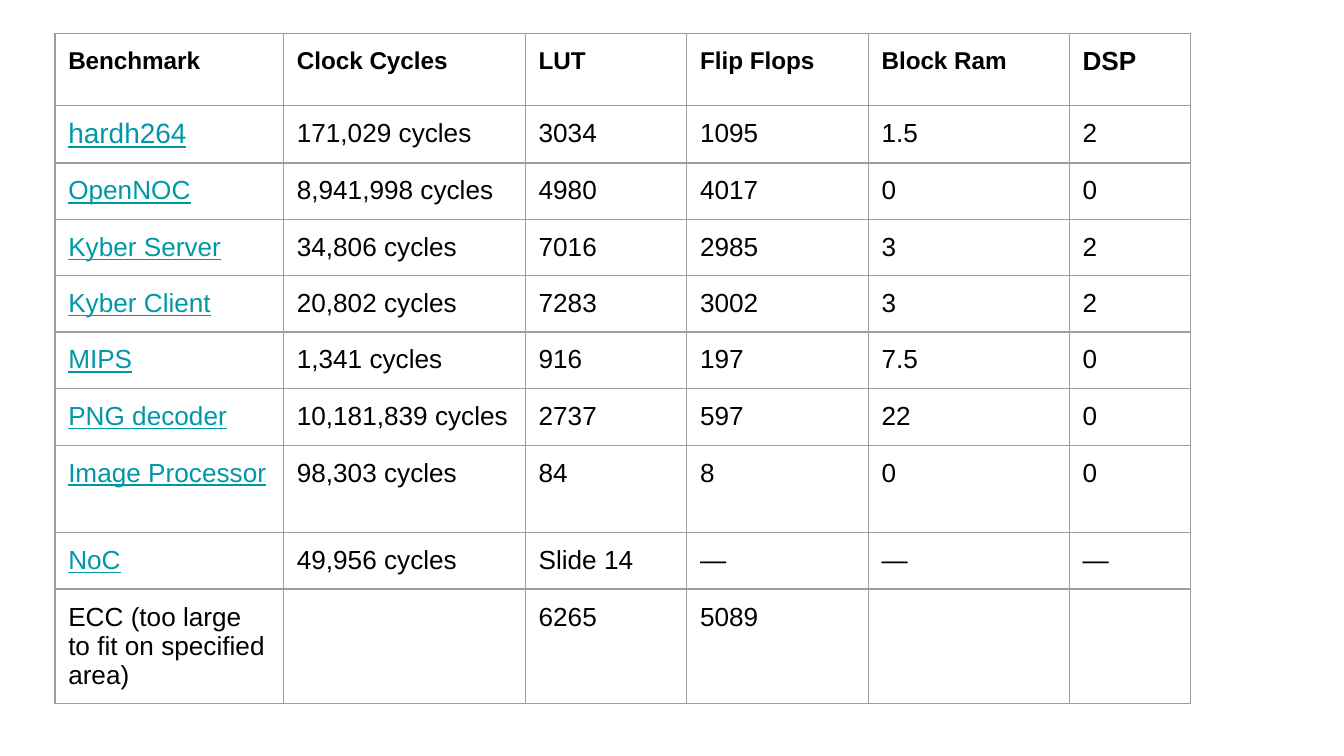
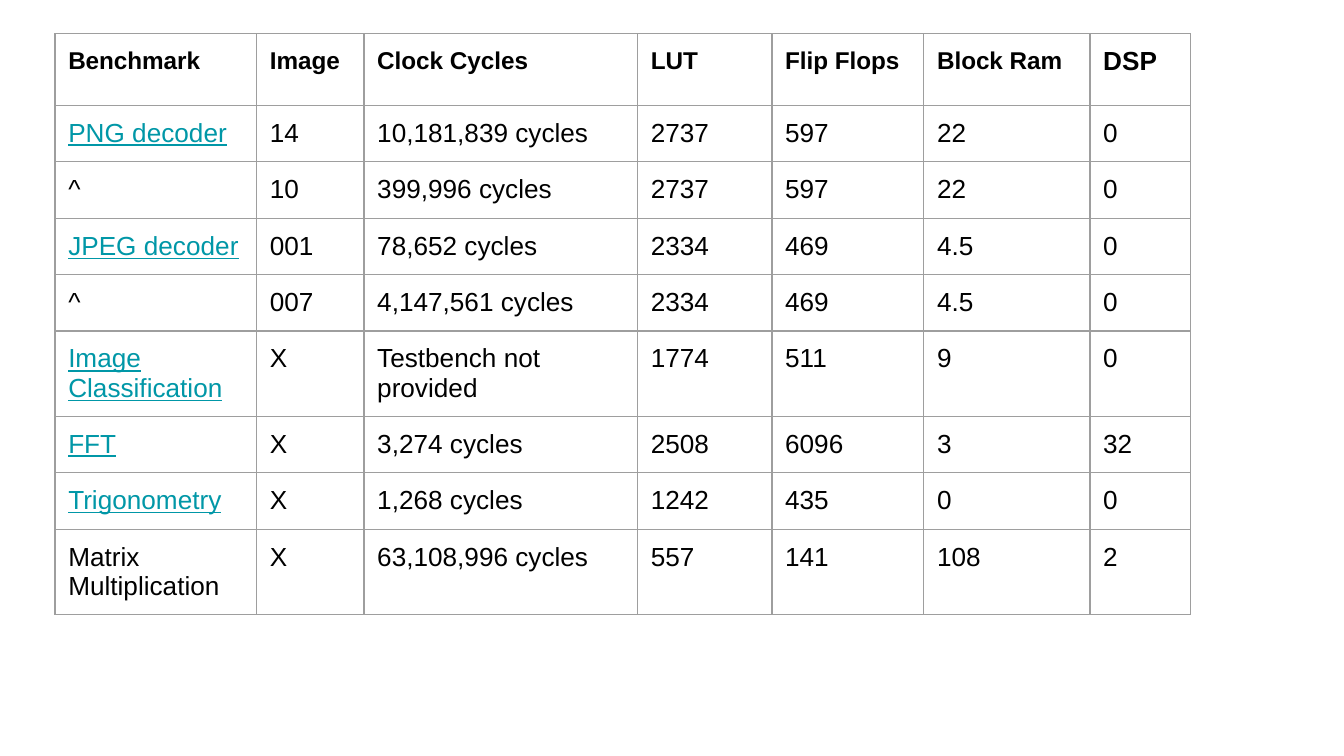
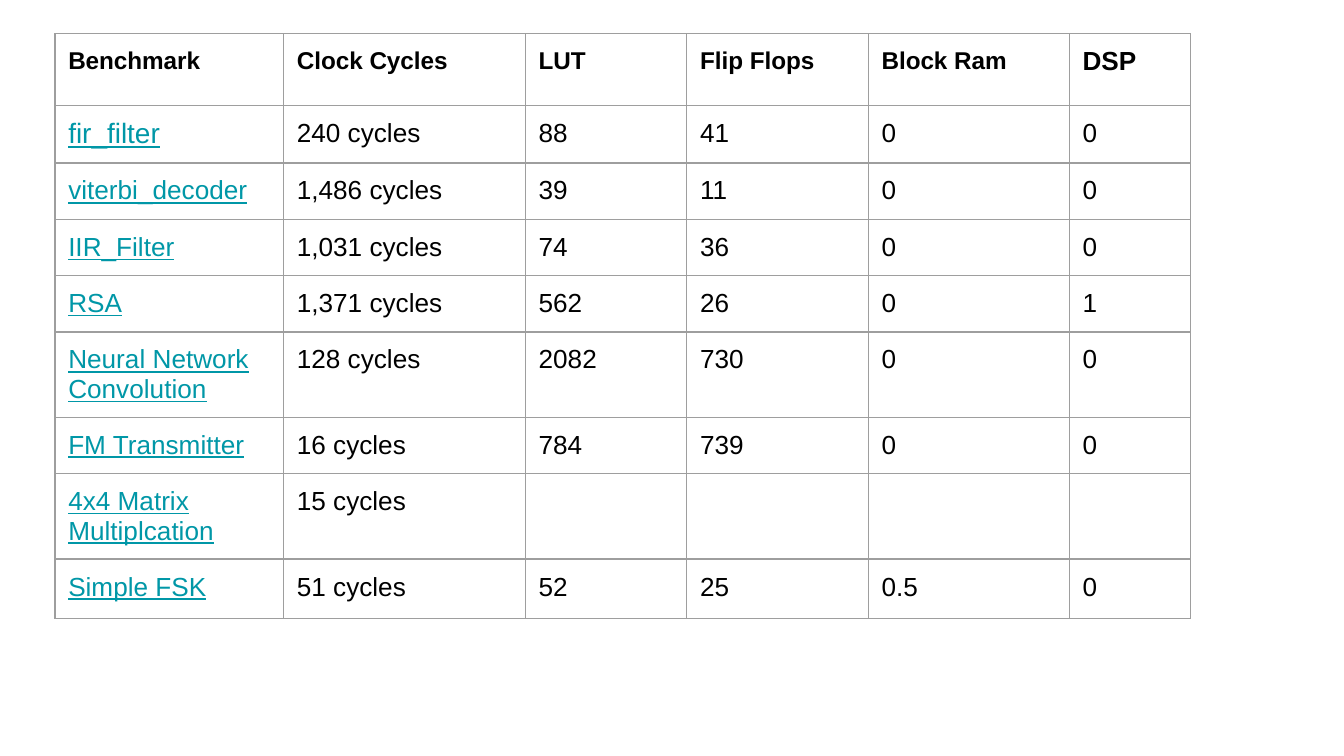
from lxml import etree
from pptx import Presentation
from pptx.dml.color import RGBColor
from pptx.oxml.ns import qn
from pptx.util import Cm, Pt

COLORS = {"text": "000000", "link": "0097A7", "border": "9E9E9E"}
FONT = "Arial"
BLANK_LAYOUT = 6
TABLE_LEFT, TABLE_TOP = 1.04, 0.64
CELL_MARGIN = 0.25
BORDER_WIDTH = Pt(0.75)
ROW_HEIGHT = 1.07
SPECIAL_HEIGHTS = {0: 1.35, 3: 0.94}

# Column headings with their widths in cm
RESOURCE_COLUMNS = {"Benchmark": 4.32, "Clock Cycles": 4.57, "LUT": 3.05,
                    "Flip Flops": 3.43, "Block Ram": 3.8, "DSP": 2.29}
IMAGE_COLUMNS = {"Benchmark": 3.81, "Image": 2.03, "Clock Cycles": 5.17, "LUT": 2.54,
                 "Flip Flops": 2.87, "Block Ram": 3.14, "DSP": 1.9}

# Benchmarks that are not set as links
PLAIN_BENCHMARKS = {"^", "Matrix Multiplication",
                    "ECC (too large to fit on specified area)"}

DESIGN_RESULTS = [
    ("hardh264", "171,029 cycles", "3034", "1095", "1.5", "2"),
    ("OpenNOC", "8,941,998 cycles", "4980", "4017", "0", "0"),
    ("Kyber Server", "34,806 cycles", "7016", "2985", "3", "2"),
    ("Kyber Client", "20,802 cycles", "7283", "3002", "3", "2"),
    ("MIPS", "1,341 cycles", "916", "197", "7.5", "0"),
    ("PNG decoder", "10,181,839 cycles", "2737", "597", "22", "0"),
    ("Image Processor", "98,303 cycles", "84", "8", "0", "0"),
    ("NoC", "49,956 cycles", "Slide 14", "—", "—", "—"),
    ("ECC (too large to fit on specified area)", "", "6265", "5089", "", ""),
]
IMAGE_RESULTS = [
    ("PNG decoder", "14", "10,181,839 cycles", "2737", "597", "22", "0"),
    ("^", "10", "399,996 cycles", "2737", "597", "22", "0"),
    ("JPEG decoder", "001", "78,652 cycles", "2334", "469", "4.5", "0"),
    ("^", "007", "4,147,561 cycles", "2334", "469", "4.5", "0"),
    ("Image Classification", "X", "Testbench not provided", "1774", "511", "9", "0"),
    ("FFT", "X", "3,274 cycles", "2508", "6096", "3", "32"),
    ("Trigonometry", "X", "1,268 cycles", "1242", "435", "0", "0"),
    ("Matrix Multiplication", "X", "63,108,996 cycles", "557", "141", "108", "2"),
]
SIGNAL_RESULTS = [
    ("fir_filter", "240 cycles", "88", "41", "0", "0"),
    ("viterbi_decoder", "1,486 cycles", "39", "11", "0", "0"),
    ("IIR_Filter", "1,031 cycles", "74", "36", "0", "0"),
    ("RSA", "1,371 cycles", "562", "26", "0", "1"),
    ("Neural Network Convolution", "128 cycles", "2082", "730", "0", "0"),
    ("FM Transmitter", "16 cycles", "784", "739", "0", "0"),
    ("4x4 Matrix Multiplcation", "15 cycles", "", "", "", ""),
    ("Simple FSK", "51 cycles", "52", "25", "0.5", "0"),
]


def add_borders(cell):
    properties = cell._tc.get_or_add_tcPr()
    for side in ("a:lnL", "a:lnR", "a:lnT", "a:lnB"):
        line = etree.SubElement(properties, qn(side), w=str(BORDER_WIDTH))
        fill = etree.SubElement(line, qn("a:solidFill"))
        etree.SubElement(fill, qn("a:srgbClr"), val=COLORS["border"])


def fill_cell(cell, text, color="text", **font_format):
    for side in ("left", "right", "top", "bottom"):
        setattr(cell, f"margin_{side}", Cm(CELL_MARGIN))
    add_borders(cell)
    cell.fill.background()
    cell.text = text
    font = cell.text_frame.paragraphs[0].font
    for name, value in {"name": FONT, "size": Pt(14), **font_format}.items():
        setattr(font, name, value)
    font.color.rgb = RGBColor.from_string(COLORS[color])


def add_benchmark_table(deck, columns, results, first_link_size=14, tall_rows=None):
    slide = deck.slides.add_slide(deck.slide_layouts[BLANK_LAYOUT])
    special = {**SPECIAL_HEIGHTS, **(tall_rows or {})}
    heights = [special.get(row, ROW_HEIGHT) for row in range(len(results) + 1)]
    table = slide.shapes.add_table(
        len(heights), len(columns), Cm(TABLE_LEFT), Cm(TABLE_TOP),
        Cm(sum(columns.values())), Cm(sum(heights))).table
    table.first_row = table.horz_banding = False
    for column, width in zip(table.columns, columns.values()):
        column.width = Cm(width)
    for row, height in zip(table.rows, heights):
        row.height = Cm(height)

    # Heading row
    for col, heading in enumerate(columns):
        size = 14 if heading == "DSP" else 13
        fill_cell(table.cell(0, col), heading, size=Pt(size), bold=True)

    # Benchmark rows, with the name as a link
    for row, result in enumerate(results, start=1):
        for col, value in enumerate(result):
            if col == 0 and value not in PLAIN_BENCHMARKS:
                size = first_link_size if row == 1 else 14
                fill_cell(table.cell(row, col), value, "link",
                          size=Pt(size), underline=True)
            else:
                fill_cell(table.cell(row, col), value)


def main():
    deck = Presentation()
    deck.slide_width, deck.slide_height = Cm(25.4), Cm(14.29)
    add_benchmark_table(deck, RESOURCE_COLUMNS, DESIGN_RESULTS,
                        first_link_size=15, tall_rows={7: 1.65})
    add_benchmark_table(deck, IMAGE_COLUMNS, IMAGE_RESULTS)
    add_benchmark_table(deck, RESOURCE_COLUMNS, SIGNAL_RESULTS,
                        first_link_size=15, tall_rows={8: 1.13})
    deck.save("out.pptx")


if __name__ == "__main__":
    main()
